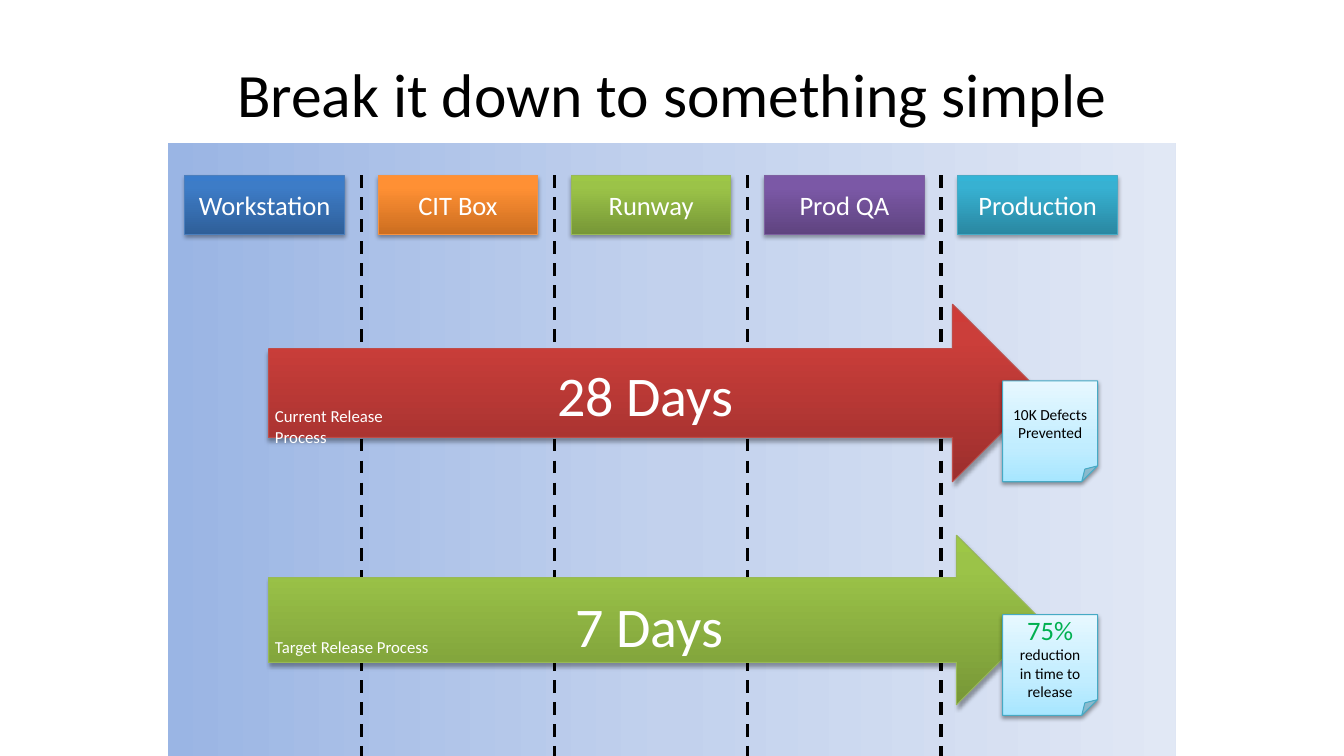
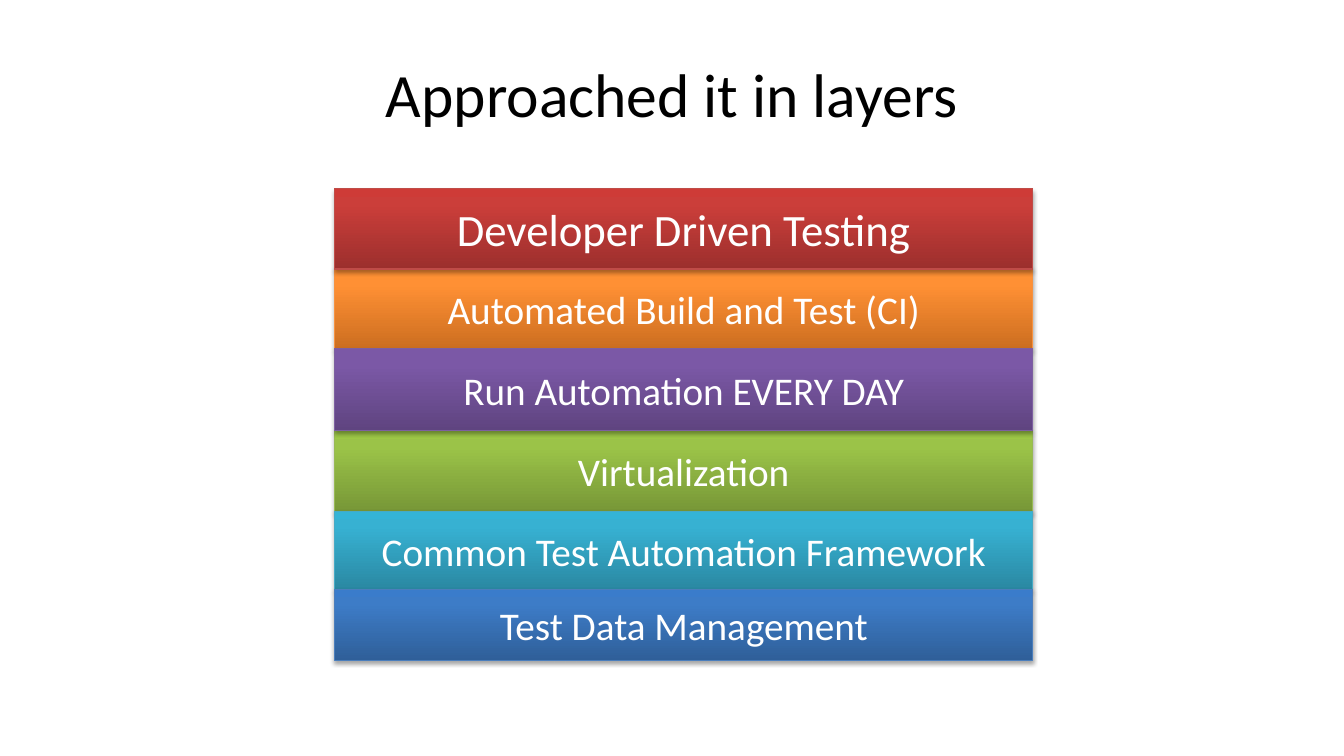
from collections import namedtuple

from lxml import etree
from pptx import Presentation
from pptx.dml.color import RGBColor
from pptx.enum import dml, shapes, text
from pptx.oxml import ns
from pptx.util import Cm, Pt

FONT = "Calibri"
WIDTH, HEIGHT = 33.87, 19.05

BLACK = RGBColor(0x00, 0x00, 0x00)
WHITE = RGBColor(0xFF, 0xFF, 0xFF)
BRIGHT_GREEN = RGBColor(0x00, 0xB0, 0x50)

# stops run from start to end as (percent, colour)
Finish = namedtuple("Finish", "stops line")


def make_finish(dark, middle, light, line, position=80):
    return Finish([(0, dark), (position, middle), (100, light)], line)


BLUE = make_finish(RGBColor(0x2F, 0x5F, 0x99), RGBColor(0x3D, 0x7C, 0xC7),
                   RGBColor(0x3A, 0x7C, 0xCB), RGBColor(0x4B, 0x7E, 0xBC))
ORANGE = make_finish(RGBColor(0xCC, 0x6E, 0x20), RGBColor(0xFF, 0x90, 0x34),
                     RGBColor(0xFF, 0x91, 0x36), RGBColor(0xF6, 0x92, 0x40))
GREEN = make_finish(RGBColor(0x77, 0x97, 0x37), RGBColor(0x9B, 0xC3, 0x48),
                    RGBColor(0x9D, 0xC7, 0x46), RGBColor(0x98, 0xB9, 0x55))
PURPLE = make_finish(RGBColor(0x5F, 0x44, 0x80), RGBColor(0x7B, 0x58, 0xA6),
                     RGBColor(0x7C, 0x57, 0xA8), RGBColor(0x7D, 0x60, 0xA0))
TEAL = make_finish(RGBColor(0x2A, 0x88, 0xA2), RGBColor(0x37, 0xB1, 0xD2),
                   RGBColor(0x34, 0xB4, 0xD6), RGBColor(0x46, 0xAA, 0xC5))
RED = make_finish(RGBColor(0x9C, 0x2F, 0x2D), RGBColor(0xCB, 0x3E, 0x3A),
                  RGBColor(0xCE, 0x3B, 0x37), RGBColor(0xBF, 0x4C, 0x48))
NOTE = make_finish(RGBColor(0xA7, 0xE6, 0xFF), RGBColor(0xC1, 0xED, 0xFF),
                   RGBColor(0xE7, 0xF8, 0xFF), TEAL.line, position=35)
PANEL = make_finish(RGBColor(0x9A, 0xB5, 0xE4), RGBColor(0xC2, 0xD1, 0xED),
                    RGBColor(0xE1, 0xE8, 0xF5), None, position=50)


def add_element(parent, tag, **attributes):
    return etree.SubElement(parent, ns.qn(tag),
                            {name: str(value) for name, value in attributes.items()})


def format_run(run, size, color):
    run.font.name = FONT
    run.font.size = Pt(size)
    run.font.color.rgb = color


def set_text(shape, content, size, color, align=text.PP_ALIGN.CENTER,
             anchor=text.MSO_ANCHOR.MIDDLE, wrap=True):
    frame = shape.text_frame
    frame.text = content
    frame.word_wrap = wrap
    frame.vertical_anchor = anchor
    paragraph = frame.paragraphs[0]
    paragraph.alignment = align
    format_run(paragraph.runs[0], size, color)


def add_slide(presentation, title):
    slide = presentation.slides.add_slide(presentation.slide_layouts[5])
    shape = slide.shapes.title
    shape.left, shape.top = Cm(1.7), Cm(0.76)
    shape.width, shape.height = Cm(30.48), Cm(3.18)
    set_text(shape, title, 44, BLACK)
    return slide


def fill_gradient(shape, stops, angle):
    """Fill with any number of stops; the angle is counter-clockwise."""
    shape.fill.gradient()
    shape.fill.gradient_angle = angle
    stop_list = shape._element.spPr.find(".//" + ns.qn("a:gsLst"))
    for stop in list(stop_list):
        stop_list.remove(stop)
    for percent, color in stops:
        stop = add_element(stop_list, "a:gs", pos=percent * 1000)
        add_element(stop, "a:srgbClr", val=color)


def add_shadow(shape, opacity, distance):
    effects = shape._element.spPr.find(ns.qn("a:effectLst"))
    shadow = add_element(effects, "a:outerShdw", blurRad=Pt(3.1), dist=Pt(distance),
                         dir=5400000, rotWithShape=0)
    color = add_element(shadow, "a:srgbClr", val=BLACK)
    add_element(color, "a:alpha", val=opacity * 1000)


def add_block(slide, kind, left, top, width, height, finish, angle=90,
              opacity=35, distance=1.8):
    """Add a gradient shape; a finish without a line colour is flat."""
    shape = slide.shapes.add_shape(kind, Cm(left), Cm(top), Cm(width), Cm(height))
    shape.shadow.inherit = False
    fill_gradient(shape, finish.stops, angle)
    if finish.line is None:
        shape.line.fill.background()
    else:
        shape.line.color.rgb = finish.line
        shape.line.width = Pt(0.75)
        add_shadow(shape, opacity, distance)
    return shape


def add_box(slide, left, top, width, height, finish, content, size):
    box = add_block(slide, shapes.MSO_SHAPE.RECTANGLE, left, top, width, height, finish)
    set_text(box, content, size, WHITE)


def add_divider(slide, x, top):
    divider = slide.shapes.add_connector(shapes.MSO_CONNECTOR.STRAIGHT,
                                         Cm(x), Cm(top), Cm(x), Cm(HEIGHT))
    divider.line.color.rgb = BLACK
    divider.line.width = Pt(2.25)
    divider.line.dash_style = dml.MSO_LINE.DASH
    add_element(divider._element.spPr, "a:effectLst")


def add_label(slide, left, top, width, height, content, size):
    label = slide.shapes.add_textbox(Cm(left), Cm(top), Cm(width), Cm(height))
    set_text(label, content, size, WHITE, text.PP_ALIGN.LEFT,
             text.MSO_ANCHOR.TOP, wrap=False)
    label.text_frame.auto_size = text.MSO_AUTO_SIZE.SHAPE_TO_FIT_TEXT


def add_stages(slide, stages):
    """Add equal stage boxes with a divider in the middle of each gap."""
    left, top, width, gap = 4.66, 4.42, 4.02, 0.85
    for index, (name, finish) in enumerate(stages):
        x = left + index * (width + gap)
        if index:
            add_divider(slide, x - gap / 2, top)
        add_box(slide, x, top, width, 1.48, finish, name, 19)


def add_process(slide, top, height, finish, days, days_left, days_width, caption):
    add_block(slide, shapes.MSO_SHAPE.RIGHT_ARROW, 6.77, top, 19.47, height, finish)
    add_label(slide, days_left, top + 1.28, days_width, 1.96, days, 40)
    add_label(slide, 6.68, top + 2.44, 4.6, 0.76, caption, 12)


def add_note(slide, top, content, lead=None):
    """Add a sticky note, with an optional large green lead before the text."""
    note = add_block(slide, shapes.MSO_SHAPE.FOLDED_CORNER, 25.27, top, 2.39, 2.54,
                     NOTE, opacity=38, distance=1.6)
    if lead is None:
        set_text(note, content, 11, BLACK)
        return
    set_text(note, lead, 19, BRIGHT_GREEN)
    run = note.text_frame.paragraphs[0].add_run()
    run.text = " " + content
    format_run(run, 11, BLACK)


def build_release_slide(presentation):
    slide = add_slide(presentation, "Break it down to something simple")
    panel_top = 3.61
    add_block(slide, shapes.MSO_SHAPE.RECTANGLE, 4.23, panel_top, 25.4,
              HEIGHT - panel_top, PANEL, angle=0)
    add_stages(slide, [("Workstation", BLUE), ("CIT Box", ORANGE), ("Runway", GREEN),
                       ("Prod QA", PURPLE), ("Production", TEAL)])
    add_process(slide, 7.67, 4.47, RED, "28 Days", 13.79, 5, "Current Release Process")
    add_note(slide, 9.6, "10K Defects Prevented")
    add_process(slide, 13.49, 4.27, GREEN, "7 Days", 14.25, 4.32, "Target Release Process")
    add_note(slide, 15.49, "reduction in time to release", lead="75%")


def build_layers_slide(presentation):
    slide = add_slide(presentation, "Approached it in layers")
    # back to front, so that the upper layers cast their shadows
    layers = [
        ("Automated Build and Test (CI)", ORANGE, 6.76, 2.03, 28),
        ("Virtualization", GREEN, 10.85, 2.05, 28),
        ("Run Automation EVERY DAY", PURPLE, 8.79, 2.06, 28),
        ("Common Test Automation Framework", TEAL, 12.88, 1.98, 28),
        ("Test Data Management", BLUE, 14.86, 1.78, 28),
        ("Developer Driven Testing", RED, 4.75, 2.03, 32),
    ]
    for name, finish, top, height, size in layers:
        add_box(slide, 8.43, top, 17.6, height, finish, name, size)


def main():
    presentation = Presentation()
    presentation.slide_width, presentation.slide_height = Cm(WIDTH), Cm(HEIGHT)
    build_release_slide(presentation)
    build_layers_slide(presentation)
    presentation.save("out.pptx")


if __name__ == "__main__":
    main()
